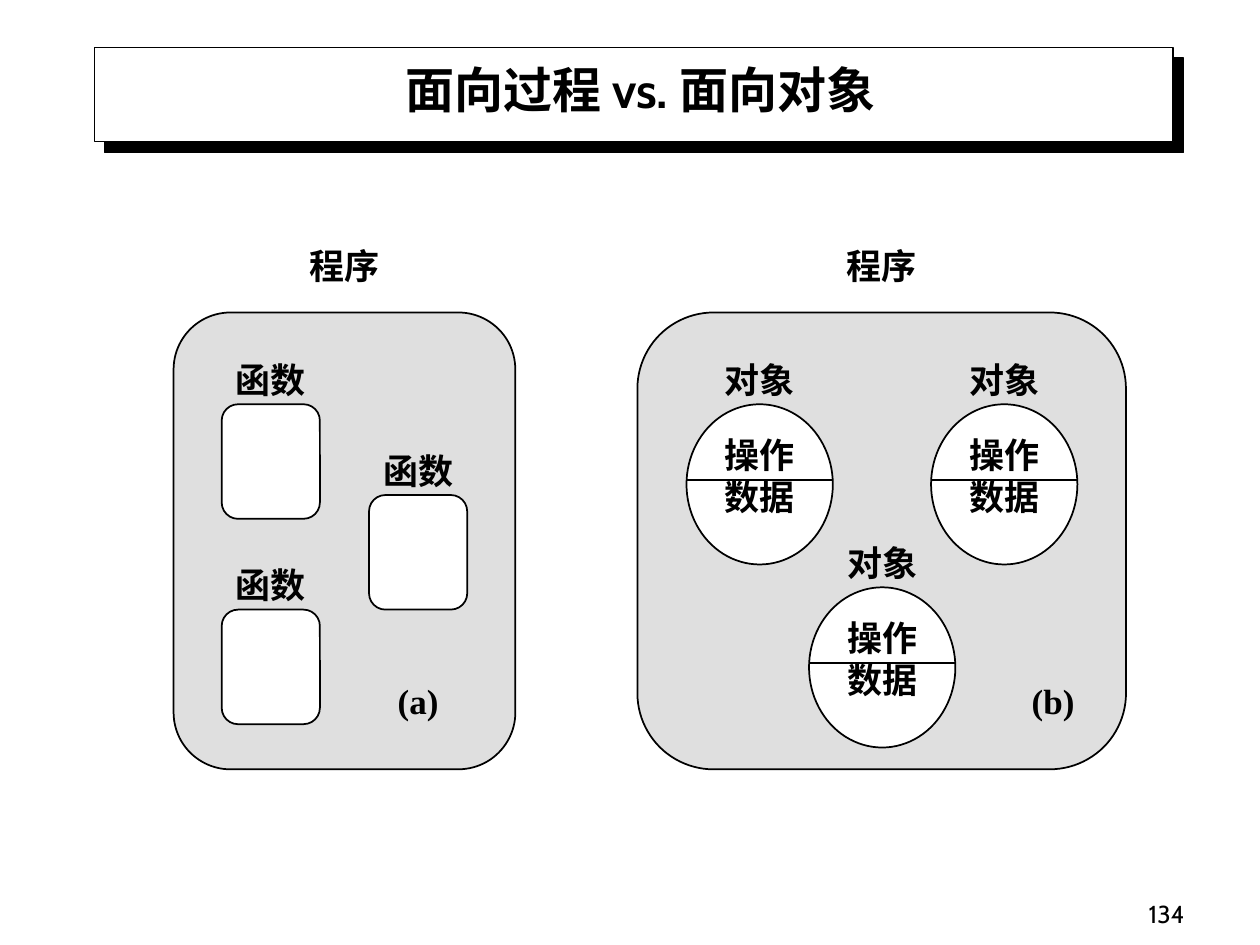
"""Build a slide comparing procedural and object-oriented programs."""
import typing

import pptx
import pptx.dml.color
import pptx.enum.shapes
import pptx.enum.text
import pptx.oxml
import pptx.oxml.ns
import pptx.util

Cm = pptx.util.Cm
Pt = pptx.util.Pt
SHAPE = pptx.enum.shapes.MSO_SHAPE
ALIGN = pptx.enum.text.PP_ALIGN
ANCHOR = pptx.enum.text.MSO_ANCHOR

COLOURS = {"ink": "000000", "paper": "FFFFFF", "panel": "C0C0C0"}
DRAWING = pptx.oxml.ns.nsdecls("a")
HEADING_FONT = "Cabin"
LABEL_FONT = "Times New Roman"
LABEL_WIDTH, LABEL_HEIGHT = 1.98, 0.92
PROGRAM_GAP = 0.45
CHORD_DROP = 1.52


class Box(typing.NamedTuple):
    """A rectangle in centimetres."""
    left: float
    top: float
    width: float
    height: float

    @property
    def centre(self) -> float:
        return self.left + self.width / 2

    def lengths(self) -> list:
        return [Cm(value) for value in self]


class Program(typing.NamedTuple):
    """A panel with its members and its caption."""
    panel: Box
    members: list[Box]
    member_name: str
    member_shape: typing.Any
    lines: list[str]
    caption: str
    caption_centre: float


PANEL_TOP, PANEL_HEIGHT, CAPTION_TOP = 6.3, 9.21, 13.69
PROGRAMS = [
    Program(Box(3.5, PANEL_TOP, 6.89, PANEL_HEIGHT),
            [Box(left, top, 1.98, 2.31) for left, top in [(4.47, 8.15), (7.44, 9.98), (4.47, 12.29)]],
            "函数", SHAPE.ROUNDED_RECTANGLE, [], "(a)", 8.43),
    Program(Box(12.85, PANEL_TOP, 9.85, PANEL_HEIGHT),
            [Box(left, top, 2.95, 3.23) for left, top in [(13.84, 8.15), (18.77, 8.15), (16.31, 11.84)]],
            "对象", SHAPE.OVAL, ["操作", "数据"], "(b)", 21.23),
]


def colour(name: str) -> pptx.dml.color.RGBColor:
    """Look up a colour of the slide."""
    return pptx.dml.color.RGBColor.from_string(COLOURS[name])


def write(frame, lines: list[str], size: float, font: str, bold: bool = True, align=ALIGN.CENTER) -> None:
    """Fill a text frame with one paragraph per line."""
    frame.word_wrap = True
    for index, line in enumerate(lines):
        para = frame.add_paragraph() if index else frame.paragraphs[0]
        para.text = line
        para.alignment = align
        para.font.size = Pt(size)
        para.font.name = font
        para.font.bold = bold
        para.font.color.rgb = colour("ink")


def add_label(page, centre: float, top: float, text: str) -> None:
    """Place a bold label centred on a vertical axis."""
    box = Box(centre - LABEL_WIDTH / 2, top, LABEL_WIDTH, LABEL_HEIGHT)
    frame = page.shapes.add_textbox(*box.lengths()).text_frame
    frame.margin_left = frame.margin_right = frame.margin_top = frame.margin_bottom = 0
    write(frame, [text], 20, LABEL_FONT)


def add_outlined(page, kind, box: Box, fill: str = "paper", weight: float = 1):
    """Draw a filled shape with a black outline."""
    shape = page.shapes.add_shape(kind, *box.lengths())
    shape.shadow.inherit = False
    shape.fill.solid()
    shape.fill.fore_color.rgb = colour(fill)
    shape.line.color.rgb = colour("ink")
    shape.line.width = Pt(weight)
    return shape


def add_chord(page, box: Box) -> None:
    """Draw the line that divides operations from data."""
    height = Cm(box.top + CHORD_DROP)
    chord = page.shapes.add_connector(
        pptx.enum.shapes.MSO_CONNECTOR.STRAIGHT,
        Cm(box.left), height, Cm(box.left + box.width), height)
    chord.line.color.rgb = colour("ink")
    chord.line.width = Pt(1)
    chord._element.spPr.append(pptx.oxml.parse_xml(f"<a:effectLst {DRAWING}/>"))


def add_program(page, program: Program) -> None:
    """Draw a program panel with its labelled members."""
    panel = add_outlined(page, SHAPE.ROUNDED_RECTANGLE, program.panel, "panel")
    tint = panel._element.spPr.find(".//" + pptx.oxml.ns.qn("a:srgbClr"))
    tint.append(pptx.oxml.parse_xml(f'<a:alpha {DRAWING} val="50000"/>'))
    add_label(page, program.panel.centre, program.panel.top - PROGRAM_GAP - LABEL_HEIGHT, "程序")
    for box in program.members:
        add_label(page, box.centre, box.top - LABEL_HEIGHT, program.member_name)
        member = add_outlined(page, program.member_shape, box)
        if program.lines:
            member.text_frame.vertical_anchor = ANCHOR.TOP
            write(member.text_frame, program.lines, 20, LABEL_FONT)
            add_chord(page, box)
    add_label(page, program.caption_centre, CAPTION_TOP, program.caption)


def add_heading(page) -> None:
    """Set the title on a banner with a hard shadow."""
    title = page.shapes.title
    title.left, title.top, title.width, title.height = Box(2.11, 1.12, 21.59, 1.4).lengths()
    title.text_frame.vertical_anchor = ANCHOR.BOTTOM
    title.text_frame.auto_size = pptx.enum.text.MSO_AUTO_SIZE.NONE
    write(title.text_frame, ["面向过程 vs. 面向对象"], 28, HEADING_FONT)
    banner = add_outlined(page, SHAPE.RECTANGLE, Box(1.9, 0.96, 21.75, 1.9), weight=0.75)
    effects = banner._element.spPr.find(pptx.oxml.ns.qn("a:effectLst"))
    effects.append(pptx.oxml.parse_xml(
        f'<a:outerShdw {DRAWING} dist="{Pt(8.5)}" dir="2700000" algn="ctr" rotWithShape="0">'
        f'<a:srgbClr val="{COLOURS["ink"]}"/></a:outerShdw>'))
    title._element.addprevious(banner._element)


def add_page_number(page) -> None:
    """Write the page number in the lower right corner."""
    frame = page.shapes.add_textbox(*Box(18.85, 17.58, 5.28, 1.27).lengths()).text_frame
    frame.vertical_anchor = ANCHOR.BOTTOM
    write(frame, ["134"], 14, HEADING_FONT, bold=False, align=ALIGN.RIGHT)


def main() -> None:
    """Build and save the deck."""
    deck = pptx.Presentation()
    deck.slide_width, deck.slide_height = Cm(25.4), Cm(19.05)
    page = deck.slides.add_slide(deck.slide_layouts.get_by_name("Title Only"))
    add_heading(page)
    for program in PROGRAMS:
        add_program(page, program)
    add_page_number(page)
    deck.save("out.pptx")


if __name__ == "__main__":
    main()
